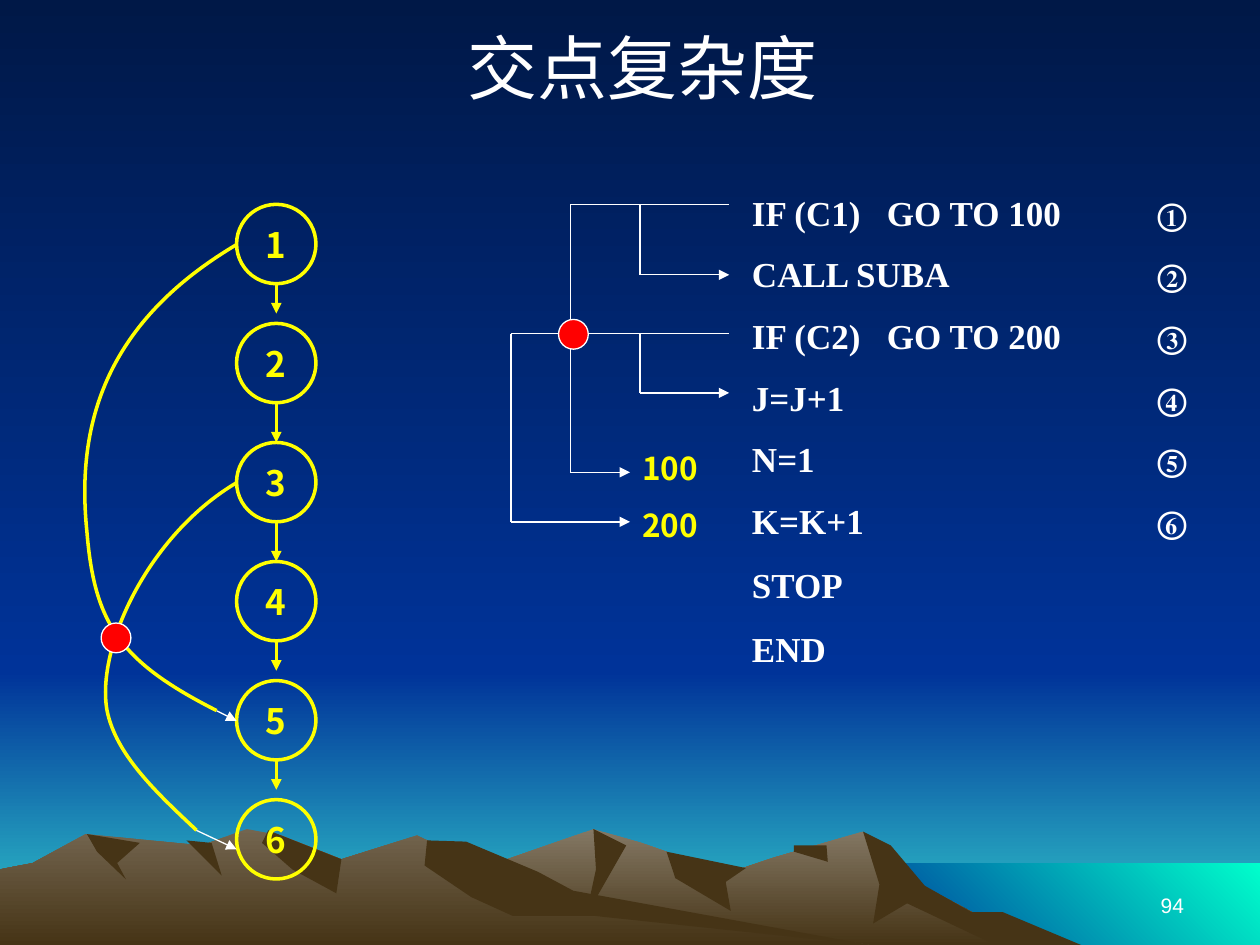
from lxml import etree
from pptx import Presentation
from pptx.dml.color import RGBColor
from pptx.enum import shapes as es, text as et
from pptx.oxml import ns
from pptx.util import Cm, Pt

WHITE = RGBColor(0xFF, 0xFF, 0xFF)
YELLOW = RGBColor(0xFF, 0xFF, 0x00)
RED = RGBColor(0xFF, 0x00, 0x00)
BLUE = RGBColor(0x00, 0x00, 0xFF)
NIGHT = RGBColor(0x00, 0x18, 0x47)
NAVY = RGBColor(0x00, 0x33, 0x99)
TEAL = RGBColor(0x33, 0xCC, 0xCC)
MINT = RGBColor(0x00, 0xFF, 0xCC)
STONE = RGBColor(0x84, 0x78, 0x64)
CLAY = RGBColor(0x73, 0x65, 0x4F)
EARTH = RGBColor(0x46, 0x34, 0x16)
SANS = "Noto Sans CJK SC"
UNIT = Cm(0.0254)  # grid step of the outline points

deck = Presentation()
deck.slide_width, deck.slide_height = Cm(25.4), Cm(19.05)
slide = deck.slides.add_slide(deck.slide_layouts[6])
slide.background.fill.solid()
slide.background.fill.fore_color.rgb = BLUE
items = slide.shapes


def link(x1, y1, x2, y2, color, width, arrow):
    line = items.add_connector(es.MSO_CONNECTOR.STRAIGHT, Cm(x1), Cm(y1), Cm(x2), Cm(y2))
    line.line.color.rgb = color
    line.line.width = Pt(width)
    if arrow:
        etree.SubElement(line.line._get_or_add_ln(), ns.qn("a:tailEnd"), type="triangle")
    etree.SubElement(line._element.spPr, ns.qn("a:effectLst"))


def write(frame, rows, font, color, bold, align, gap=0):
    """Fill a frame; each row is a list of (text, size) runs."""
    for i, row in enumerate(rows):
        para = frame.paragraphs[0] if i == 0 else frame.add_paragraph()
        para.alignment = align
        if i:
            para.space_before = Pt(gap)
        for words, size in row:
            run = para.add_run()
            run.text = words
            run.font.name, run.font.size, run.font.bold = font, Pt(size), bold
            run.font.color.rgb = color


# Sky, glow and sea
for x, y, w, h, first, last, angle in [
    (0, 13.54, 25.4, 5.51, NAVY, TEAL, 270),
    (0, 0, 25.4, 13.54, NIGHT, NAVY, 270),
    (17.35, 17.4, 8.05, 1.65, NAVY, MINT, 45),
]:
    band = items.add_shape(es.MSO_SHAPE.RECTANGLE, Cm(x), Cm(y), Cm(w), Cm(h))
    band.shadow.inherit = False
    band.line.fill.background()
    band.fill.gradient()
    band.fill.gradient_angle = angle
    for stop, color in zip(band.fill.gradient_stops, (first, last)):
        stop.color.rgb = color

# Mountains: top colour (EARTH for a shaded side) and outline
hills = [
    (STONE, [(258, 750), (327, 709), (394, 685), (471, 658), (509, 669), (529, 676),
             (566, 697), (613, 681), (685, 660), (723, 698), (820, 750)]),
    (EARTH, [(685, 660), (707, 671), (734, 703), (771, 724), (796, 724), (858, 750),
             (790, 750), (720, 717), (693, 733), (698, 702)]),
    (EARTH, [(471, 658), (497, 671), (465, 727), (473, 690)]),
    (EARTH, [(529, 676), (592, 689), (576, 700), (580, 723), (536, 697)]),
    (EARTH, [(630, 671), (656, 671), (657, 684), (630, 676)]),
    (CLAY, [(0, 750), (0, 690), (26, 685), (68, 662), (160, 671), (196, 658), (223, 663),
            (271, 682), (331, 663), (432, 712), (690, 750)]),
    (EARTH, [(213, 659), (271, 682), (267, 709), (232, 690), (208, 669)]),
    (EARTH, [(339, 667), (370, 668), (427, 692), (455, 707), (690, 750), (472, 727),
             (407, 727), (374, 712), (337, 687)]),
    (EARTH, [(148, 667), (168, 669), (176, 695)]),
    (EARTH, [(69, 662), (111, 669), (93, 685), (100, 698), (77, 676)]),
]
for top, points in hills:
    pen = items.build_freeform(*points[0], scale=UNIT)
    pen.add_line_segments(points[1:], close=True)
    hill = pen.convert_to_shape()
    hill.shadow.inherit = False
    hill.line.fill.background()
    if top == EARTH:
        hill.fill.solid()
        hill.fill.fore_color.rgb = EARTH
    else:
        hill.fill.gradient()
        hill.fill.gradient_angle = 270
        for stop, color in zip(hill.fill.gradient_stops, (top, EARTH)):
            stop.color.rgb = color

# Flow graph: nodes and the arrows between them
for i in range(6):
    y = 4.12 + 2.4 * i
    node = items.add_shape(es.MSO_SHAPE.OVAL, Cm(4.77), Cm(y), Cm(1.6), Cm(1.6))
    node.shadow.inherit = False
    node.fill.background()
    node.line.color.rgb, node.line.width = YELLOW, Pt(2)
    node.text_frame.word_wrap = False
    node.text_frame.vertical_anchor = et.MSO_ANCHOR.MIDDLE
    write(node.text_frame, [[(str(i + 1), 20)]], SANS, YELLOW, True, et.PP_ALIGN.CENTER)
    if i < 5:
        size = 0.8 if i in (1, 2) else 0.6
        link(5.57, y + 1.6, 5.57, y + 1.6 + size, YELLOW, 2, True)

# Jumps: a start point, then three Bezier points for each arc
jumps = [
    [(188, 194), (85, 255), (60, 335), (69, 422), (75, 495), (95, 525), (172, 564)],
    [(188, 383), (117, 425), (76, 515), (85, 564), (92, 599), (124, 629), (156, 659)],
]
for points in jumps:
    pen = items.build_freeform(*points[0], scale=UNIT)
    pen.add_line_segments(points[1:], close=False)
    jump = pen.convert_to_shape()
    jump.shadow.inherit = False
    jump.fill.background()
    jump.line.color.rgb, jump.line.width = YELLOW, Pt(2)
    track = jump._element.find(".//" + ns.qn("a:path"))
    steps = track.findall(ns.qn("a:lnTo"))
    for k in range(0, len(steps), 3):
        arc = etree.SubElement(track, ns.qn("a:cubicBezTo"))
        for step in steps[k:k + 3]:
            arc.append(step[0])
            track.remove(step)
link(4.37, 14.33, 4.77, 14.53, WHITE, 0.75, True)
link(3.96, 16.74, 4.77, 17.12, WHITE, 0.75, True)

# Control lines beside the code: down, then right to the tip
edge = 14.7
for x, start, end, tip in [
    (11.5, 4.12, 9.52, 12.7), (12.9, 4.12, 5.54, edge),
    (10.3, 6.73, 10.52, 12.7), (12.9, 6.73, 7.92, edge),
]:
    if tip < edge:
        link(x, start, edge, start, WHITE, 0.75, False)
    link(x, start, x, end, WHITE, 0.75, False)
    link(x, end, tip, end, WHITE, 0.75, True)

# Crossing points
for x, y in [(2.04, 12.56), (11.26, 6.44)]:
    dot = items.add_shape(es.MSO_SHAPE.OVAL, Cm(x), Cm(y), Cm(0.6), Cm(0.6))
    dot.shadow.inherit = False
    dot.fill.solid()
    dot.fill.fore_color.rgb = RED
    dot.line.color.rgb, dot.line.width = WHITE, Pt(0.75)

# Title, code, labels and page number
code = ["IF (C1)\tGO TO 100", "CALL SUBA", "IF (C2)\tGO TO 200", "J=J+1", "N=1", "K=K+1"]
rows = [[(words + "\t", 20), (mark, 18)] for words, mark in zip(code, "①②③④⑤⑥")]
rows += [[("STOP", 20)], [("END", 20)]]
left, mid, right = et.PP_ALIGN.LEFT, et.PP_ALIGN.CENTER, et.PP_ALIGN.RIGHT
high, low = et.MSO_ANCHOR.TOP, et.MSO_ANCHOR.BOTTOM
for x, y, w, h, anchor, *style in [
    (0.5, 0.36, 24.9, 1.96, et.MSO_ANCHOR.MIDDLE, [[("交点复杂度", 40)]], "Arial", WHITE, False, mid),
    (14.91, 3.73, 10, 10.74, high, rows, "Times New Roman", WHITE, True, left, 11.2),
    (12.7, 8.92, 1.8, 2.18, high, [[("100", 18)], [("200", 18)]], SANS, YELLOW, True, left, 11.2),
    (18.2, 17.35, 5.92, 1.27, low, [[("94", 12)]], "Arial", WHITE, False, right),
]:
    frame = items.add_textbox(Cm(x), Cm(y), Cm(w), Cm(h)).text_frame
    frame.word_wrap = True
    frame.vertical_anchor = anchor
    write(frame, *style)
    for para in frame.paragraphs:
        if "\t" in para.text:
            tabs = etree.SubElement(para._p.get_or_add_pPr(), ns.qn("a:tabLst"))
            for stop in [2.72, 8.17][-para.text.count("\t"):]:
                etree.SubElement(tabs, ns.qn("a:tab"), pos=str(Cm(stop)), algn="l")
        elif para.text in ("STOP", "END"):
            para.space_before = Pt(12.5)

deck.save("out.pptx")
